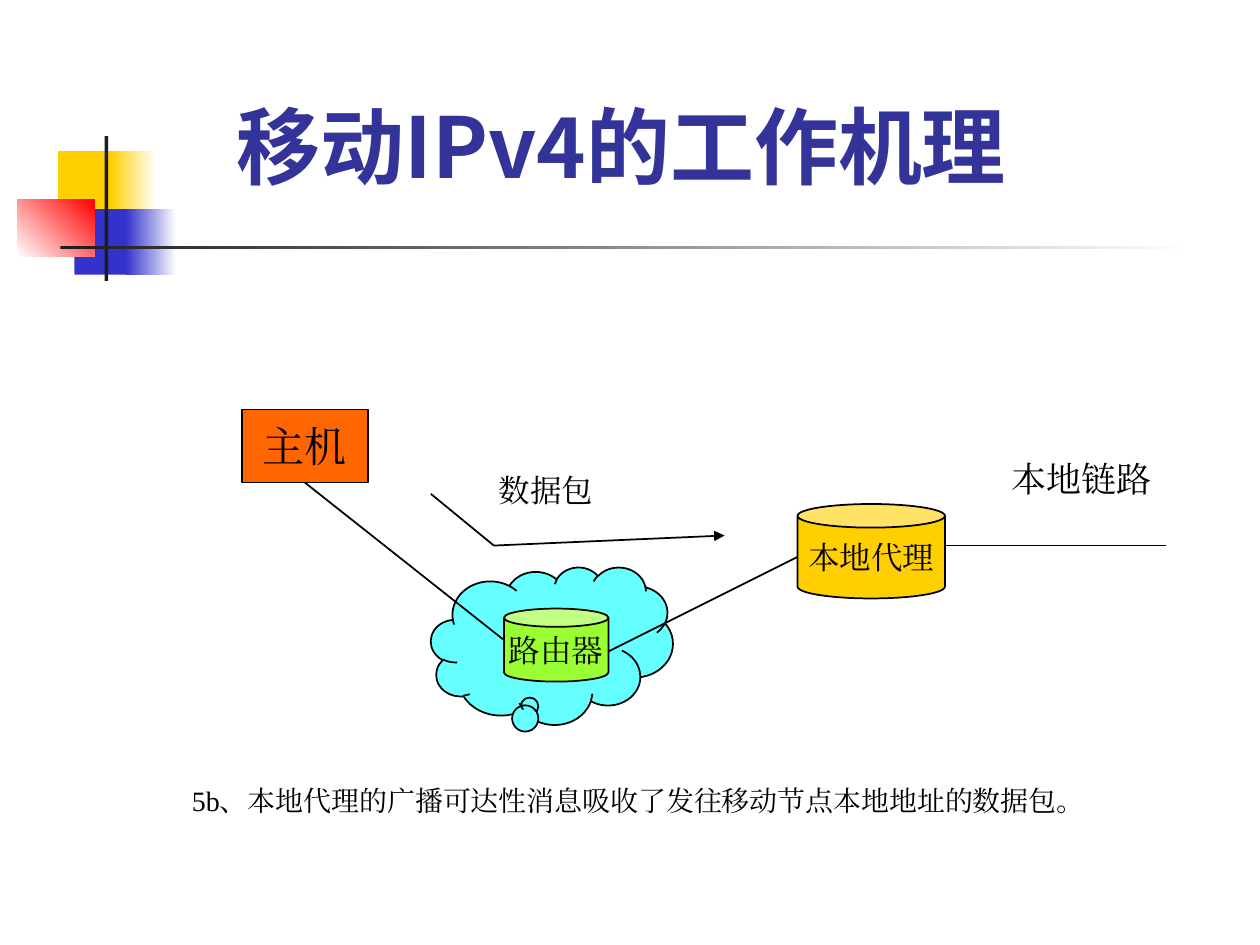
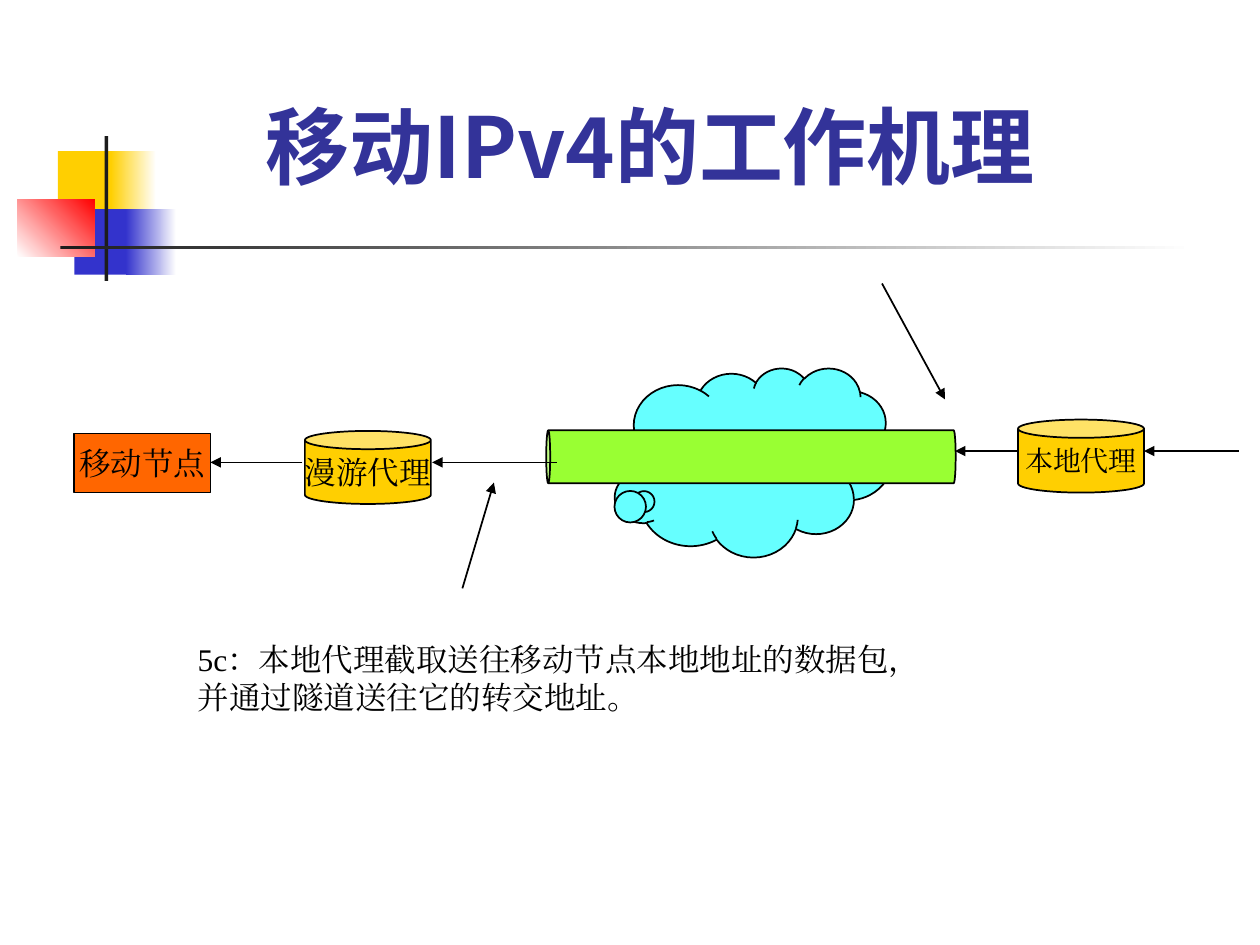
from typing import NamedTuple

from lxml.etree import SubElement
from pptx import Presentation
from pptx.dml.color import RGBColor
from pptx.enum.shapes import MSO_CONNECTOR, MSO_SHAPE
from pptx.enum.text import MSO_ANCHOR, PP_ALIGN
from pptx.oxml.ns import qn
from pptx.util import Inches, Pt

BLACK, WHITE = "000000", "FFFFFF"
INK, TITLE_BLUE, BLUE = "1C1C1C", "333399", "3333CC"
GOLD, ORANGE, RED = "FFCF01", "FF6600", "FF0000"
GREEN, CYAN = "99FF33", "66FFFF"
BODY_FONT, TITLE_FONT = "Times New Roman", "Noto Sans CJK JP"
TITLE = "移动IPv4的工作机理"


class Box(NamedTuple):
    left: float
    top: float
    width: float
    height: float


class Band(NamedTuple):
    box: Box
    start: str
    end: str = ""
    angle: float = 0


class Node(NamedTuple):
    kind: MSO_SHAPE
    box: Box
    fill: str
    text: str = ""
    size: int = 18
    adjust: tuple = ()
    rotation: float = 0


class Link(NamedTuple):
    x1: float
    y1: float
    x2: float
    y2: float
    arrow: bool = True


class Label(NamedTuple):
    box: Box
    text: str
    size: int = 18
    align: PP_ALIGN = PP_ALIGN.CENTER


class Diagram(NamedTuple):
    title_left: float
    nodes: list
    links: list
    labels: list


BANDS = [
    Band(Box(0.46, 1.2, 0.48, 0.52), GOLD),
    Band(Box(0.88, 1.2, 0.36, 0.52), GOLD, WHITE),
    Band(Box(0.59, 1.66, 0.46, 0.52), BLUE),
    Band(Box(1, 1.66, 0.4, 0.52), BLUE, WHITE),
    Band(Box(0.14, 1.58, 0.61, 0.46), WHITE, RED, 45),
    Band(Box(0.83, 1.08, 0.03, 1.15), INK),
    Band(Box(0.48, 1.95, 9, 0.03), INK, WHITE),
]

INTERCEPTION = Diagram(
    title_left=0.67,
    nodes=[
        Node(MSO_SHAPE.CLOUD_CALLOUT, Box(3.42, 4.5, 1.92, 1.25), CYAN, adjust=(-0.086, 0.36)),
        Node(MSO_SHAPE.RECTANGLE, Box(1.92, 3.25, 1, 0.58), ORANGE, "主机", 24),
        Node(MSO_SHAPE.CAN, Box(4, 4.83, 0.83, 0.58), GREEN, "路由器"),
        Node(MSO_SHAPE.CAN, Box(6.33, 4, 1.17, 0.75), GOLD, "本地代理"),
    ],
    links=[
        Link(2.42, 3.83, 4, 5.08, False),
        Link(4.83, 5.17, 6.33, 4.42, False),
        Link(7.5, 4.33, 9.25, 4.33, False),
        Link(3.42, 3.92, 3.92, 4.33, False),
        Link(3.92, 4.33, 5.75, 4.25),
    ],
    labels=[
        Label(Box(7.93, 3.58, 1.31, 0.44), "本地链路", 20),
        Label(Box(1.4, 6.17, 7.34, 0.37),
              "5b、本地代理的广播可达性消息吸收了发往移动节点本地地址的数据包。", 16),
        Label(Box(3.86, 3.69, 0.95, 0.4), "数据包"),
    ],
)

TUNNEL = Diagram(
    title_left=0.9,
    nodes=[
        Node(MSO_SHAPE.CLOUD_CALLOUT, Box(4.83, 2.92, 2.25, 1.5), CYAN, adjust=(-0.361, 0.2)),
        Node(MSO_SHAPE.CAN, Box(5.75, 2, 0.42, 3.25), GREEN, adjust=(0.075,), rotation=270),
        Node(MSO_SHAPE.CAN, Box(2.42, 3.42, 1, 0.58), GOLD, "漫游代理"),
        Node(MSO_SHAPE.CAN, Box(8.08, 3.33, 1, 0.58), GOLD, "本地代理", 16),
        Node(MSO_SHAPE.RECTANGLE, Box(0.59, 3.44, 1.08, 0.47), ORANGE, "移动节点"),
    ],
    links=[
        Link(9.83, 3.58, 9.08, 3.58),
        Link(8.08, 3.58, 7.58, 3.58),
        Link(7, 2.25, 7.5, 3.17),
        Link(4.42, 3.67, 3.43, 3.67),
        Link(2.4, 3.67, 1.67, 3.67),
        Link(3.67, 4.67, 3.92, 3.83),
    ],
    labels=[
        Label(Box(1.47, 5.03, 5.99, 0.7),
              "5c：本地代理截取送往移动节点本地地址的数据包，\n并通过隧道送往它的转交地址。",
              align=PP_ALIGN.LEFT),
    ],
)


def rgb(color: str) -> RGBColor:
    return RGBColor.from_string(color)


def inches(box: Box) -> list:
    return [Inches(value) for value in box]


def write(tf, text: str, size: int, align=PP_ALIGN.CENTER, anchor=MSO_ANCHOR.MIDDLE,
          font: str = BODY_FONT, color: str = BLACK, bold: bool = False, wrap: bool = False) -> None:
    tf.text = text
    tf.word_wrap = wrap
    tf.vertical_anchor = anchor
    for p in tf.paragraphs:
        p.alignment = align
        for r in p.runs:
            r.font.size, r.font.bold, r.font.name = Pt(size), bold, font
            r.font.color.rgb = rgb(color)
            SubElement(r.font._element, qn("a:ea")).set("typeface", font)


def add_band(slide, band: Band) -> None:
    sp = slide.shapes.add_shape(MSO_SHAPE.RECTANGLE, *inches(band.box))
    sp.shadow.inherit = False
    sp.line.fill.background()
    if band.end:
        sp.fill.gradient()
        sp.fill.gradient_angle = band.angle
        for stop, color in zip(sp.fill.gradient_stops, (band.start, band.end)):
            stop.color.rgb = rgb(color)
    else:
        sp.fill.solid()
        sp.fill.fore_color.rgb = rgb(band.start)


def add_node(slide, node: Node) -> None:
    sp = slide.shapes.add_shape(node.kind, *inches(node.box))
    sp.shadow.inherit = False
    sp.rotation = node.rotation
    for i, value in enumerate(node.adjust):
        sp.adjustments[i] = value
    sp.fill.solid()
    sp.fill.fore_color.rgb = rgb(node.fill)
    sp.line.color.rgb = rgb(BLACK)
    sp.line.width = Pt(1)
    if node.text:
        write(sp.text_frame, node.text, node.size)


def add_link(slide, link: Link) -> None:
    ends = [Inches(value) for value in link[:4]]
    cxn = slide.shapes.add_connector(MSO_CONNECTOR.STRAIGHT, *ends)
    cxn.line.color.rgb = rgb(BLACK)
    cxn.line.width = Pt(1)
    if link.arrow:
        SubElement(cxn.line._get_or_add_ln(), qn("a:tailEnd")).set("type", "triangle")
    SubElement(cxn._element.spPr, qn("a:effectLst"))


def add_label(slide, label: Label) -> None:
    tf = slide.shapes.add_textbox(*inches(label.box)).text_frame
    write(tf, label.text, label.size, label.align, MSO_ANCHOR.TOP)


def add_title(slide, left: float) -> None:
    tf = slide.shapes.add_textbox(*inches(Box(left, 0, 8.52, 1.6))).text_frame
    write(tf, TITLE, 48, anchor=MSO_ANCHOR.BOTTOM, font=TITLE_FONT,
          color=TITLE_BLUE, bold=True, wrap=True)


def add_diagram_slide(prs, diagram: Diagram) -> None:
    slide = prs.slides.add_slide(prs.slide_layouts[6])
    for band in BANDS:
        add_band(slide, band)
    add_title(slide, diagram.title_left)
    for node in diagram.nodes:
        add_node(slide, node)
    for link in diagram.links:
        add_link(slide, link)
    for label in diagram.labels:
        add_label(slide, label)


def main() -> None:
    prs = Presentation()
    prs.slide_width, prs.slide_height = Inches(10), Inches(7.5)
    for diagram in (INTERCEPTION, TUNNEL):
        add_diagram_slide(prs, diagram)
    prs.save("out.pptx")


if __name__ == "__main__":
    main()
